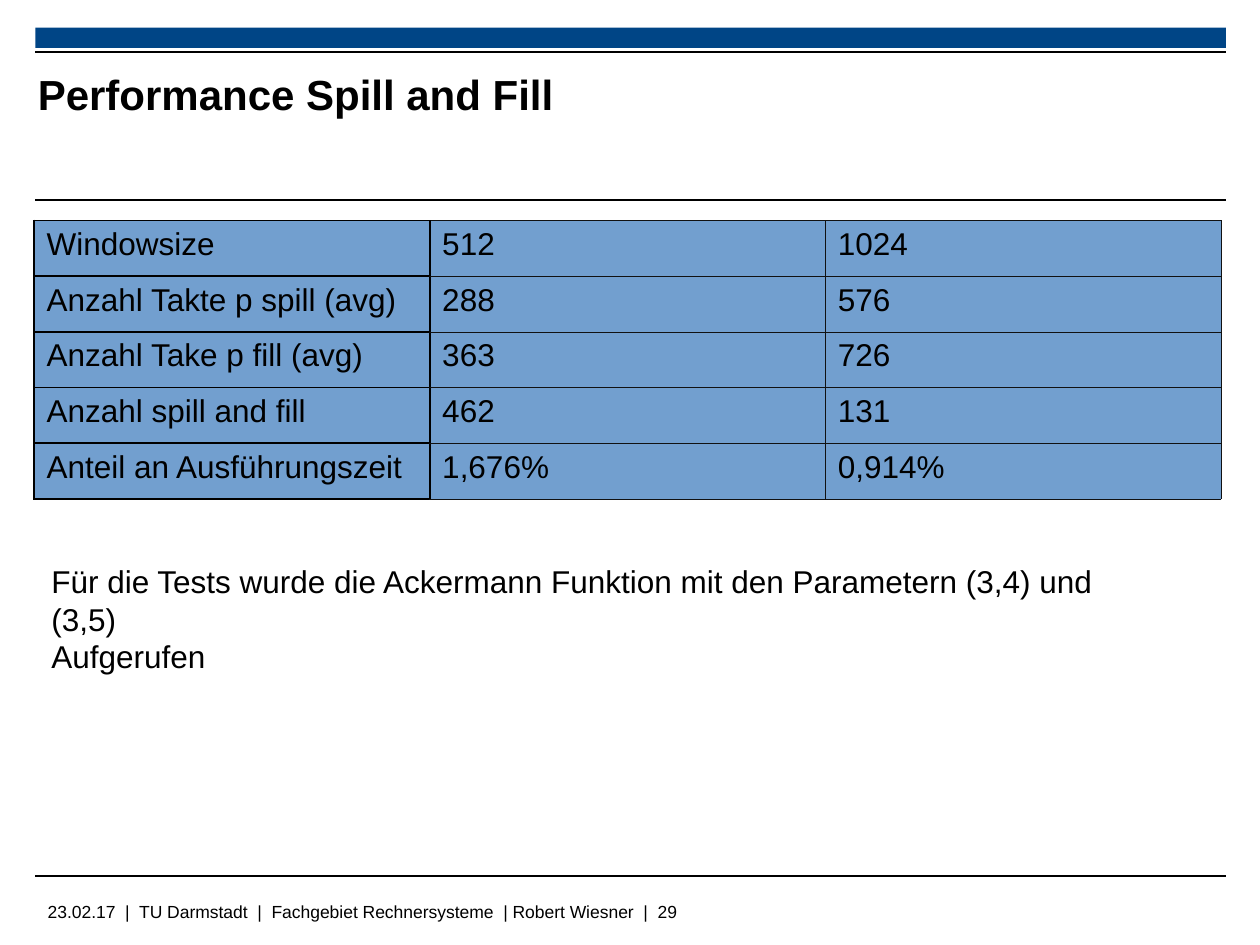
from lxml import etree
from pptx import Presentation
from pptx.dml.color import RGBColor
from pptx.enum.shapes import MSO_CONNECTOR, MSO_SHAPE
from pptx.enum.text import MSO_ANCHOR, PP_ALIGN
from pptx.oxml.ns import qn
from pptx.util import Inches, Pt

STRAIGHT = MSO_CONNECTOR.STRAIGHT
RECTANGLE = MSO_SHAPE.RECTANGLE
TOP, MIDDLE = MSO_ANCHOR.TOP, MSO_ANCHOR.MIDDLE
LEFT = PP_ALIGN.LEFT

COLORS = {"bar": "004586", "ink": "000000", "grid": "111111", "cell": "729FCF"}
FONT = "Arial"
RULE_WIDTH, HAIRLINE = 1.13, 0.06
TITLE_ONLY = 5

ROWS = [
    ("Windowsize", "512", "1024"),
    ("Anzahl Takte p spill (avg)", "288", "576"),
    ("Anzahl Take p fill (avg)", "363", "726"),
    ("Anzahl spill and fill", "462", "131"),
    ("Anteil an Ausführungszeit", "1,676%", "0,914%"),
]
NOTE = [
    "Für die Tests wurde die Ackermann Funktion mit den Parametern (3,4) und (3,5)",
    "Aufgerufen",
]
FOOTER = "23.02.17  |  TU Darmstadt  |  Fachgebiet Rechnersysteme  | Robert Wiesner  |  29"


def color(name):
    return RGBColor.from_string(COLORS[name])


def write(frame, lines, size=18, bold=False, anchor=TOP, wrap=True):
    frame.word_wrap = wrap
    frame.vertical_anchor = anchor
    for index, line in enumerate(lines):
        para = frame.paragraphs[0] if index == 0 else frame.add_paragraph()
        para.alignment = LEFT
        span = para.add_run()
        span.text = line
        span.font.name = FONT
        span.font.size = Pt(size)
        span.font.bold = bold
        span.font.color.rgb = color("ink")


def add_rule(page, left, top, width):
    rule = page.shapes.add_connector(
        STRAIGHT, Inches(left), Inches(top), Inches(left + width), Inches(top))
    rule.line.color.rgb = color("ink")
    rule.line.width = Pt(RULE_WIDTH)
    etree.SubElement(rule._element.spPr, qn("a:effectLst"))


def add_frame(page, left, top, width, height):
    bar = page.shapes.add_shape(
        RECTANGLE, Inches(left), Inches(top), Inches(width), Inches(height))
    bar.shadow.inherit = False
    bar.fill.solid()
    bar.fill.fore_color.rgb = color("bar")
    bar.line.fill.background()
    for rule_top in (0.41, 1.59, 6.95):
        add_rule(page, left, rule_top, width)


def place_title(page, left, top, width, height):
    title = page.shapes.title
    title.left, title.top = Inches(left), Inches(top)
    title.width, title.height = Inches(width), Inches(height)
    frame = title.text_frame
    frame.margin_left = frame.margin_right = 0
    frame.margin_top = frame.margin_bottom = 0
    write(frame, ["Performance Spill and Fill"], size=24, bold=True, anchor=MIDDLE)


def add_text(page, lines, left, top, width, height, **style):
    box = page.shapes.add_textbox(
        Inches(left), Inches(top), Inches(width), Inches(height))
    write(box.text_frame, lines, **style)


def set_border(cell, side, name, width):
    line = etree.Element(qn(f"a:ln{side}"), w=str(Pt(width)))
    fill = etree.SubElement(line, qn("a:solidFill"))
    etree.SubElement(fill, qn("a:srgbClr"), val=COLORS[name])
    return line


def format_cell(cell, column):
    cell.fill.solid()
    cell.fill.fore_color.rgb = color("cell")
    properties = cell._tc.get_or_add_tcPr()
    for index, side in enumerate("LRTB"):
        heavy = column == 0 or (column == 1 and side == "L")
        border = ("ink", RULE_WIDTH) if heavy else ("grid", HAIRLINE)
        properties.insert(index, set_border(cell, side, *border))


def add_results(page, left, top, width, height):
    table = page.shapes.add_table(
        len(ROWS), len(ROWS[0]), Inches(left), Inches(top),
        Inches(width), Inches(height)).table
    table.first_row = table.horz_banding = False
    for row, values in enumerate(ROWS):
        for column, value in enumerate(values):
            cell = table.cell(row, column)
            write(cell.text_frame, [value])
            format_cell(cell, column)


def main():
    deck = Presentation()
    deck.slide_width, deck.slide_height = Inches(10), Inches(7.5)
    page = deck.slides.add_slide(deck.slide_layouts[TITLE_ONLY])
    add_frame(page, 0.28, 0.22, 9.45, 0.16)
    add_text(page, [FOOTER], 0.28, 7.1, 7.99, 0.25, size=10)
    place_title(page, 0.3, 0.24, 7.26, 1)
    add_results(page, 0.27, 1.75, 9.42, 2.21)
    add_text(page, NOTE, 0.31, 4.41, 9.04, 0.94, wrap=False)
    deck.save("out.pptx")


if __name__ == "__main__":
    main()
